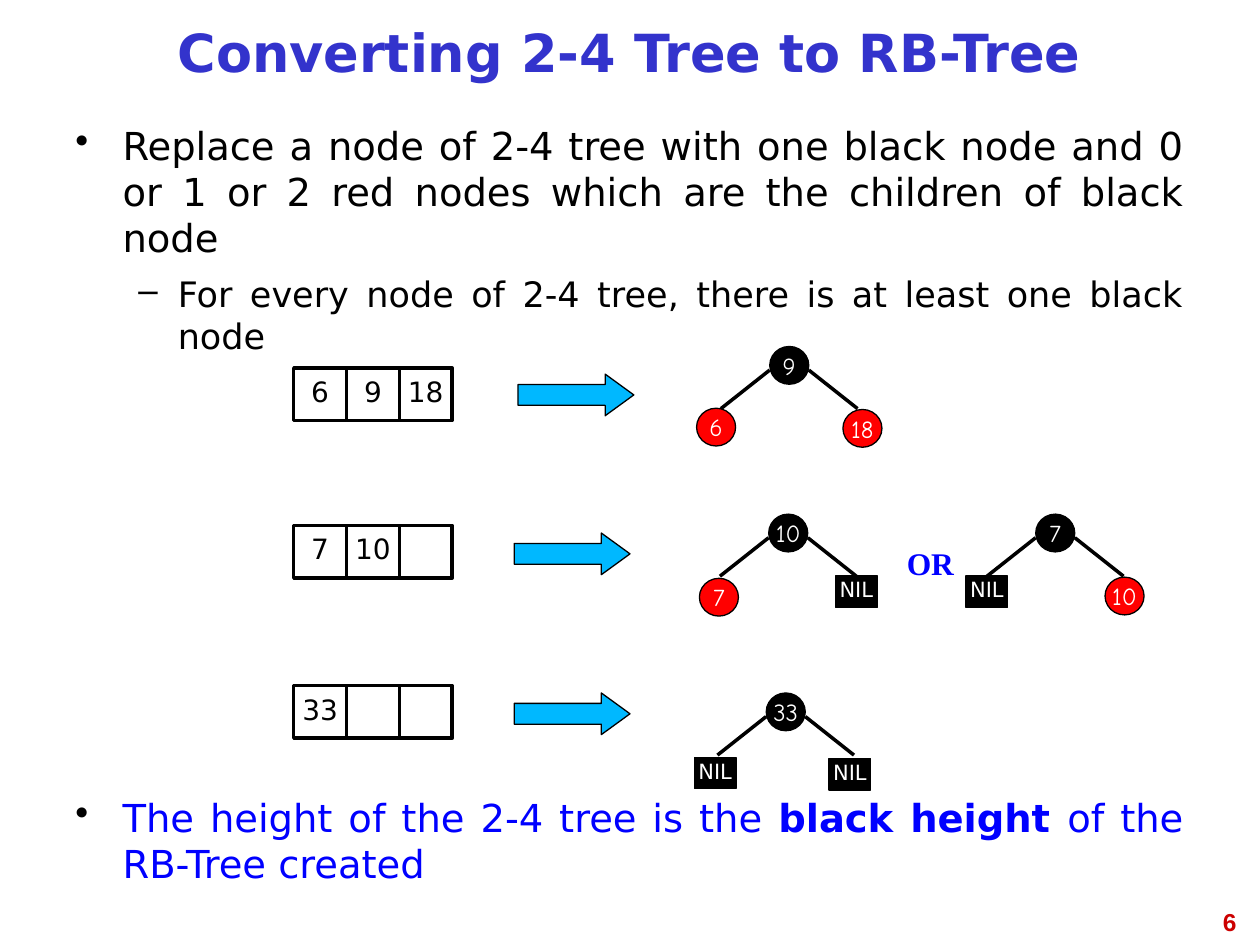
import pptx
import pptx.dml.color
import pptx.enum.shapes
import pptx.enum.text
import pptx.oxml
import pptx.oxml.ns
import pptx.util

Pt = pptx.util.Pt
ALIGN = pptx.enum.text.PP_ALIGN
ANCHOR = pptx.enum.text.MSO_ANCHOR
SHAPE = pptx.enum.shapes.MSO_SHAPE

COLORS = {
    "black": "000000", "white": "FFFFFF", "red": "FF0000", "blue": "0000FF",
    "title": "3333CC", "arrow": "00B8FF", "number": "CC0000",
}
FONTS = {
    "title": {"name": "DejaVu Sans", "size": Pt(30), "bold": True},
    "bullet": {"name": "DejaVu Sans", "size": Pt(22)},
    "dash": {"name": "DejaVu Sans", "size": Pt(20)},
    "key": {"name": "DejaVu Sans", "size": Pt(16)},
    "nil": {"name": "DejaVu Sans", "size": Pt(12)},
    "node": {"name": "Comic Neue", "size": Pt(14)},
    "or": {"name": "Times New Roman", "size": Pt(18), "bold": True},
    "number": {"name": "Arial", "size": Pt(14), "bold": True},
}
TIGHT = 0.81
CELL = 30.2
NODE_WIDTH, NODE_HEIGHT = 22.3, 21.6
NIL_WIDTH, NIL_HEIGHT = 23.8, 18


def rgb(color):
    return pptx.dml.color.RGBColor.from_string(COLORS[color])


def apply(target, values):
    for name, value in values.items():
        setattr(target, name, value)


class SlideBuilder:
    def __init__(self, page):
        self.page = page

    def add_span(self, para, text, style, color, **extra):
        span = para.add_run()
        span.text = text
        apply(span.font, {**FONTS[style], **extra})
        span.font.color.rgb = rgb(color)

    def title(self, text, left, top, width, height):
        box = self.page.shapes.title
        apply(box, {"left": Pt(left), "top": Pt(top), "width": Pt(width), "height": Pt(height)})
        apply(box.text_frame, {"auto_size": pptx.enum.text.MSO_AUTO_SIZE.NONE,
                               "vertical_anchor": ANCHOR.MIDDLE})
        para = box.text_frame.paragraphs[0]
        apply(para, {"alignment": ALIGN.CENTER, "line_spacing": TIGHT})
        self.add_span(para, text, "title", "title")

    def text_box(self, left, top, width, height):
        box = self.page.shapes.add_textbox(Pt(left), Pt(top), Pt(width), Pt(height))
        box.text_frame.word_wrap = True
        return box.text_frame

    def label(self, text, style, color, align, *bounds):
        para = self.text_box(*bounds).paragraphs[0]
        para.alignment = align
        self.add_span(para, text, style, color)

    def bullets(self, items, *bounds):
        """Each item is (mark, indent, hang, space before, spans)."""
        frame = self.text_box(*bounds)
        for index, (mark, indent, hang, before, spans) in enumerate(items):
            para = frame.add_paragraph() if index else frame.paragraphs[0]
            apply(para, {"alignment": ALIGN.JUSTIFY, "space_before": Pt(before)})
            props = para._p.get_or_add_pPr()
            props.set("marL", str(Pt(indent)))
            props.set("indent", str(Pt(-hang)))
            color = pptx.oxml.parse_xml(
                f'<a:buClr {pptx.oxml.ns.nsdecls("a")}>'
                f'<a:srgbClr val="{COLORS["black"]}"/></a:buClr>')
            char = pptx.oxml.parse_xml(
                f'<a:buChar {pptx.oxml.ns.nsdecls("a")} char="{mark}"/>')
            props.extend([color, char])
            for text, style, ink, extra in spans:
                self.add_span(para, text, style, ink, **extra)

    def shape(self, kind, left, top, width, height, fill=None, line=0.75):
        shape = self.page.shapes.add_shape(kind, Pt(left), Pt(top), Pt(width), Pt(height))
        shape.shadow.inherit = False
        if fill:
            shape.fill.solid()
            shape.fill.fore_color.rgb = rgb(fill)
        else:
            shape.fill.background()
        shape.line.color.rgb = rgb("black")
        shape.line.width = Pt(line)
        return shape

    def caption(self, shape, text, style, color, spacing=None):
        apply(shape.text_frame, {"word_wrap": False, "vertical_anchor": ANCHOR.MIDDLE})
        para = shape.text_frame.paragraphs[0]
        apply(para, {"alignment": ALIGN.CENTER, "line_spacing": spacing})
        self.add_span(para, text, style, color)

    def arrow(self, left, top):
        arrow = self.shape(SHAPE.RIGHT_ARROW, left, top, 66.2, 23.8, "arrow")
        arrow.adjustments[1] = 0.687

    def edge(self, x1, y1, x2, y2):
        edge = self.page.shapes.add_connector(
            pptx.enum.shapes.MSO_CONNECTOR.STRAIGHT, Pt(x1), Pt(y1), Pt(x2), Pt(y2))
        edge.line.color.rgb = rgb("black")
        edge.line.width = Pt(2)
        edge._element.spPr.append(
            pptx.oxml.parse_xml(f'<a:effectLst {pptx.oxml.ns.nsdecls("a")}/>'))

    def key_cells(self, keys, left, top):
        for column, key in enumerate(keys):
            cell = self.shape(SHAPE.RECTANGLE, left + column * CELL, top, CELL, CELL, line=2)
            if key:
                self.caption(cell, key, "key", "black", TIGHT)

    def node(self, key, center, top, fill):
        if key == "NIL":
            box = self.shape(SHAPE.RECTANGLE, center - NIL_WIDTH / 2, top,
                             NIL_WIDTH, NIL_HEIGHT, "black")
            self.caption(box, key, "nil", "white", TIGHT)
        else:
            circle = self.shape(SHAPE.OVAL, center - NODE_WIDTH / 2, top,
                                NODE_WIDTH, NODE_HEIGHT, fill)
            self.caption(circle, key, "node", "white")

    def tree(self, root, center, top, children):
        """Each child is (key, offset from the root's center, drop from its top)."""
        for key, offset, drop in children:
            side = 1 if offset > 0 else -1
            self.edge(center + side * 39, top + 35.5, center + side * 11.2, top + 13.5)
            self.node(key, center + offset, top + drop, "red")
        self.node(root, center, top, "black")


def main():
    deck = pptx.Presentation()
    deck.slide_width, deck.slide_height = Pt(720), Pt(540)
    builder = SlideBuilder(deck.slides.add_slide(deck.slide_layouts[5]))

    builder.title("Converting 2-4 Tree to RB-Tree", 36, 5.8, 647.3, 54)
    builder.bullets([
        ("•", 27, 27, 0, [("Replace a node of 2-4 tree with one black node and 0 or 1 or 2 "
                           "red nodes which are the children of black node",
                           "bullet", "black", {})]),
        ("–", 58.5, 22.5, 7, [("For every node of 2-4 tree, there is at least one black node",
                               "dash", "black", {})]),
        ("•", 27, 27, 250, [("The height of the 2-4 tree is the ", "bullet", "blue", {}),
                            ("black height ", "bullet", "blue", {"bold": True}),
                            ("of the RB-Tree created", "bullet", "blue", {})]),
    ], 36, 66.2, 647.3, 455.8)

    conversions = [
        (("6", "9", "18"), 210.2, (296, 213.8)),
        (("7", "10", ""), 300.2, (293.8, 304.6)),
        (("33", "", ""), 391.7, (293.8, 396)),
    ]
    for keys, top, arrow_at in conversions:
        builder.key_cells(keys, 167.8, top)
        builder.arrow(*arrow_at)

    trees = [
        ("9", 451, 198, [("6", -41.8, 35.3), ("18", 41.8, 36)]),
        ("10", 450.4, 293.8, [("7", -39.6, 36.7), ("NIL", 39, 35.3)]),
        ("7", 603, 293.8, [("NIL", -39, 35.3), ("10", 39.6, 36)]),
        ("33", 449, 396, [("NIL", -40.3, 36.7), ("NIL", 36.7, 37.4)]),
    ]
    for root, center, top, children in trees:
        builder.tree(root, center, top, children)

    builder.label("OR", "or", "blue", ALIGN.CENTER, 504, 307.4, 55.4, 28.8)
    builder.label("6", "number", "number", ALIGN.RIGHT, 545.8, 514.8, 167.8, 37.4)
    deck.save("out.pptx")


if __name__ == "__main__":
    main()
